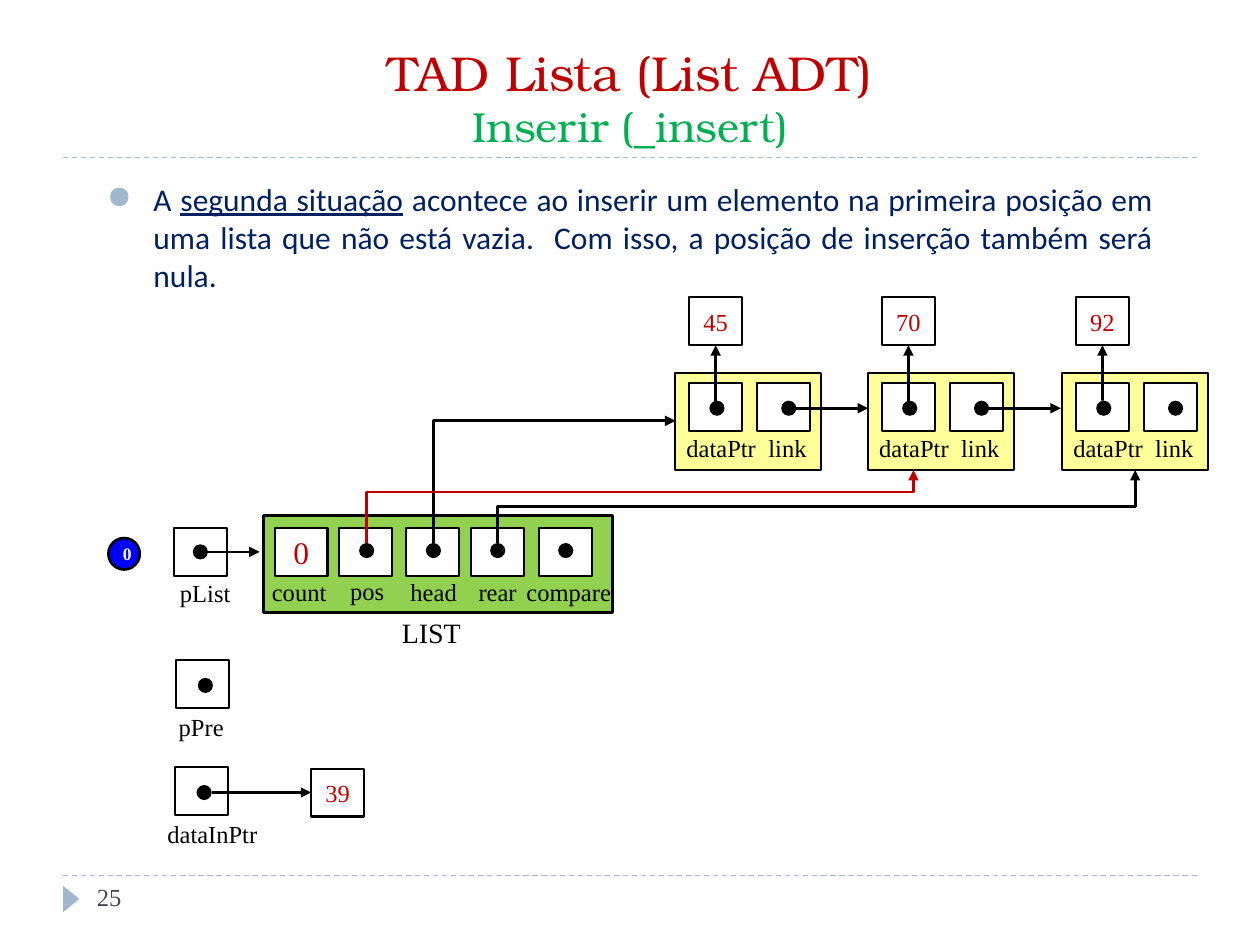
from typing import NamedTuple

from lxml.etree import SubElement
from pptx import Presentation
from pptx.dml.color import RGBColor
from pptx.enum.dml import MSO_LINE
from pptx.enum.shapes import MSO_CONNECTOR, MSO_SHAPE
from pptx.enum.text import MSO_ANCHOR, MSO_AUTO_SIZE, PP_ALIGN
from pptx.oxml.ns import qn
from pptx.util import Inches, Pt

BLACK = RGBColor(0x00, 0x00, 0x00)
WHITE = RGBColor(0xFF, 0xFF, 0xFF)
RED = RGBColor(0xC0, 0x00, 0x00)
GREEN = RGBColor(0x00, 0xB0, 0x50)
LIME = RGBColor(0x92, 0xD0, 0x50)
YELLOW = RGBColor(0xFF, 0xFF, 0x99)
BLUE = RGBColor(0x00, 0x00, 0xFF)
NAVY = RGBColor(0x00, 0x20, 0x60)
STEEL = RGBColor(0x9F, 0xB8, 0xCD)
SLATE = RGBColor(0x46, 0x46, 0x53)
SERIF = "Times New Roman"
TITLE = "TeX Gyre Bonum"
CELL_W, CELL_H, DOT = 0.42, 0.38, 0.12


class Label(NamedTuple):
    text: str
    x: float
    y: float
    w: float


class Field(NamedTuple):
    x: float
    label: Label
    value: str = ""
    dot: float = 0


class Node(NamedTuple):
    x: float
    value: str


FIELDS = [
    Field(2.18, Label("count", 2.06, 4.53, 0.64), value="0"),
    Field(2.69, Label("pos", 2.68, 4.52, 0.48), dot=2.85),
    Field(3.22, Label("head", 3.16, 4.53, 0.57), dot=3.38),
    Field(3.74, Label("rear", 3.7, 4.53, 0.51), dot=3.89),
    Field(4.28, Label("compare", 4.08, 4.53, 0.88), dot=4.43),
]
NODES = [Node(5.36, "45"), Node(6.89, "70"), Node(8.43, "92")]

deck = Presentation()
deck.slide_width, deck.slide_height = Inches(10), Inches(7.5)
slide = deck.slides.add_slide(deck.slide_layouts[6])
shapes = slide.shapes


def add_run(para, text: str, *, size: float = 14, font: str = SERIF,
            color: RGBColor = BLACK, bold: bool = False, under: bool = False):
    run = para.add_run()
    run.text = text
    run.font.size, run.font.name = Pt(size), font
    run.font.color.rgb = color
    run.font.bold, run.font.underline = bold, under


def add_box(x: float, y: float, w: float, h: float):
    box = shapes.add_textbox(Inches(x), Inches(y), Inches(w), Inches(h))
    box.text_frame.word_wrap = True
    return box.text_frame


def add_label(item: Label, size: float = 14, h: float = 0.34):
    frame = add_box(item.x, item.y, item.w, h)
    frame.word_wrap = False
    frame.auto_size = MSO_AUTO_SIZE.SHAPE_TO_FIT_TEXT
    add_run(frame.paragraphs[0], item.text, size=size)


def add_shape(kind: MSO_SHAPE, x: float, y: float, w: float, h: float,
              fill: RGBColor, width: float = 0, text: str = "", **style):
    shape = shapes.add_shape(kind, Inches(x), Inches(y), Inches(w), Inches(h))
    shape.shadow.inherit = False
    shape.fill.solid()
    shape.fill.fore_color.rgb = fill
    if width:
        shape.line.color.rgb = BLACK
        shape.line.width = Pt(width)
    else:
        shape.line.fill.background()
    if text:
        frame = shape.text_frame
        frame.vertical_anchor = MSO_ANCHOR.MIDDLE
        frame.paragraphs[0].alignment = PP_ALIGN.CENTER
        add_run(frame.paragraphs[0], text, **style)
    return shape


def add_cell(x: float, y: float, text: str = "", size: float = 14):
    return add_shape(MSO_SHAPE.RECTANGLE, x, y, CELL_W, CELL_H, WHITE, 1.25,
                     text, size=size, color=RED)


def add_dot(x: float, y: float):
    add_shape(MSO_SHAPE.OVAL, x, y, DOT, DOT, BLACK)


def add_line(x1: float, y1: float, x2: float, y2: float, color: RGBColor = BLACK,
             width: float = 1.5, arrow: bool = True, kind=MSO_CONNECTOR.STRAIGHT):
    line = shapes.add_connector(kind, Inches(x1), Inches(y1), Inches(x2), Inches(y2))
    line.line.color.rgb = color
    line.line.width = Pt(width)
    if arrow:
        SubElement(line.line._get_or_add_ln(), qn("a:tailEnd"), type="triangle")
    SubElement(line._element.spPr, qn("a:effectLst"))
    return line


def add_bend(x1: float, y1: float, x2: float, y2: float,
             color: RGBColor = BLACK, turn: float = 0):
    """Leave upward, then run right; with turn, finish upward as well."""
    rise, run = y1 - y2, x2 - x1
    left, top = (x1 + x2 - rise) / 2, (y1 + y2 - run) / 2
    line = add_line(left, top, left + rise, top + run, color,
                    kind=MSO_CONNECTOR.ELBOW)
    props = line._element.spPr
    props.find(qn("a:xfrm")).set("rot", str(270 * 60000))
    geom = props.find(qn("a:prstGeom"))
    if turn:
        SubElement(geom.find(qn("a:avLst")), qn("a:gd"), name="adj1",
                   fmla=f"val {round(turn * 100000)}")
    else:
        geom.set("prst", "bentConnector2")


def add_node(node: Node, last: bool):
    x = node.x
    add_shape(MSO_SHAPE.RECTANGLE, x, 2.96, 1.16, 0.77, YELLOW, 1.25)
    add_label(Label("dataPtr", x - 0.01, 3.39, 0.76))
    add_label(Label("link", x + 0.64, 3.39, 0.51))
    add_cell(x + 0.11, 3.04)
    add_cell(x + 0.65, 3.04)
    value = add_cell(x + 0.11, 2.36, node.value)
    add_line(x + 0.32, 3.18, x + 0.32, 2.74).end_connect(value, 2)
    if not last:
        add_line(x + 0.9, 3.24, x + 1.53, 3.24)
    add_dot(x + 0.27, 3.18)
    add_dot(x + 0.84, 3.18)


# Frame: rules, marker, page number
for y in (6.95, 1.25):
    add_line(0.5, y, 9.5, y, STEEL, 0.75, False).line.dash_style = MSO_LINE.DASH
add_shape(MSO_SHAPE.ISOSCELES_TRIANGLE, 0.46, 7.07, 0.21, 0.13, STEEL).rotation = 90
add_run(add_box(0.67, 6.95, 2.17, 0.4).paragraphs[0], "25", color=SLATE)

# Title
frame = add_box(0.5, 0.25, 9, 1)
frame.vertical_anchor = MSO_ANCHOR.BOTTOM
para = frame.paragraphs[0]
para.alignment = PP_ALIGN.CENTER
add_run(para, "TAD Lista (List ADT)", size=28, font=TITLE, color=RED)
para.add_line_break()
add_run(para, "Inserir (_insert)", size=24, font=TITLE, color=GREEN)

# Body text
para = add_box(0.75, 1.38, 8.5, 1.02).paragraphs[0]
para.alignment = PP_ALIGN.JUSTIFY
props = para._p.get_or_add_pPr()
props.set("marL", str(Inches(0.37)))
props.set("indent", str(Inches(-0.37)))
SubElement(SubElement(props, qn("a:buClr")), qn("a:srgbClr"), val=str(STEEL))
SubElement(props, qn("a:buChar"), char="●")
body = {"size": 18, "font": "Calibri", "color": NAVY}
add_run(para, "A ", **body)
add_run(para, "segunda situação", under=True, **body)
add_run(para, " acontece ao inserir um elemento na primeira posição em uma lista "
        "que não está vazia.  Com isso, a posição de inserção também será nula.", **body)

# Step badge
add_shape(MSO_SHAPE.OVAL, 0.86, 4.27, 0.25, 0.25, BLUE, 1.5, "0",
          size=10, color=WHITE, bold=True)

# Pointers on the left
add_cell(1.39, 6.09)
add_label(Label("dataInPtr", 1.23, 6.45, 0.92))
value = add_cell(2.47, 6.1, "39")
add_line(1.68, 6.29, 2.47, 6.29).end_connect(value, 1)
add_dot(1.56, 6.23)
add_cell(1.38, 4.19)
add_label(Label("pList", 1.33, 4.54, 0.61))
add_line(1.58, 4.38, 2.06, 4.38)
add_dot(1.53, 4.32)
add_cell(1.4, 5.24)
add_label(Label("pPre", 1.32, 5.6, 0.56))
add_dot(1.57, 5.38)

# List header
add_label(Label("LIST", 3.09, 4.84, 0.68), size=16, h=0.37)
add_shape(MSO_SHAPE.RECTANGLE, 2.09, 4.09, 2.77, 0.77, LIME, 2)
for field in FIELDS:
    add_cell(field.x, 4.19, field.value, 18)
    add_label(field.label)
    if field.dot:
        add_dot(field.dot, 4.31)

# Nodes and the links to them
for node in NODES:
    add_node(node, node is NODES[-1])
add_bend(3.44, 4.31, 5.36, 3.34)
add_bend(3.95, 4.31, 9.01, 3.73, turn=0.5)
add_bend(2.91, 4.31, 7.25, 3.73, RED, turn=0.7)

deck.save("out.pptx")
